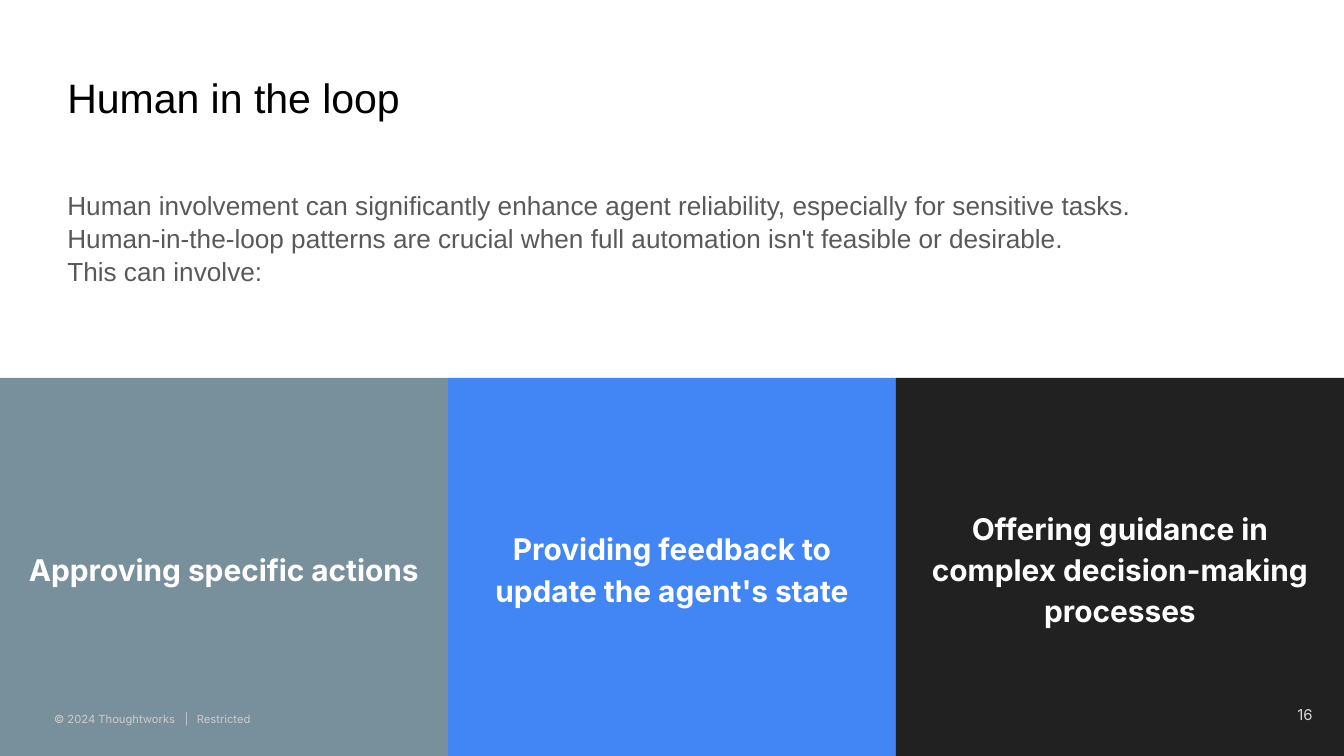
import pptx
import pptx.dml.color
import pptx.enum.shapes
import pptx.enum.text
import pptx.oxml
import pptx.oxml.ns
import pptx.util

Pt = pptx.util.Pt
ALIGN = pptx.enum.text.PP_ALIGN
ANCHOR = pptx.enum.text.MSO_ANCHOR

WIDTH, HEIGHT = 720, 405
INSET = 7.2
COLORS = {
    "title": "000000", "body": "595959", "white": "FFFFFF",
    "slate": "78909C", "blue": "4285F4", "black": "212121",
    "number": "D9D9D9", "footer": "CCCCCC",
}
PANELS = [
    ("Approving specific actions", "slate"),
    ("Providing feedback to update the agent's state", "blue"),
    ("Offering guidance in complex decision-making processes", "black"),
]
INTRODUCTION = [
    "Human involvement can significantly enhance agent reliability, especially for sensitive tasks.",
    "Human-in-the-loop patterns are crucial when full automation isn't feasible or desirable.",
    "This can involve:",
]


def rgb(name):
    return pptx.dml.color.RGBColor.from_string(COLORS[name])


def write(shape, lines, size, font, color, align=ALIGN.LEFT, anchor=ANCHOR.TOP,
          inset=INSET, spacing=1.0, bold=False, tabs=()):
    frame = shape.text_frame
    frame.word_wrap = True
    frame.vertical_anchor = anchor
    frame.margin_left = frame.margin_right = Pt(inset)
    frame.margin_top = frame.margin_bottom = Pt(inset)
    frame.text = "\n".join(lines)
    for paragraph in frame.paragraphs:
        paragraph.alignment = align
        paragraph.line_spacing = spacing
        if tabs:
            properties = paragraph._p.get_or_add_pPr()
            tab_list = pptx.oxml.parse_xml(
                "<a:tabLst %s/>" % pptx.oxml.ns.nsdecls("a"))
            for position in tabs:
                tab = pptx.oxml.parse_xml(
                    "<a:tab %s algn='l'/>" % pptx.oxml.ns.nsdecls("a"))
                tab.set("pos", str(int(Pt(position))))
                tab_list.append(tab)
            properties.append(tab_list)
        paragraph.font.size = Pt(size)
        paragraph.font.name = font
        paragraph.font.bold = bold
        paragraph.font.color.rgb = rgb(color)


def add_text(slide, box, lines, *style, **options):
    shape = slide.shapes.add_textbox(*map(Pt, box))
    write(shape, lines, *style, **options)


def add_heading(slide, left, top, width):
    add_text(slide, (left, top, width, 45), ["Human in the loop"],
             22, "Arial", "title", spacing=1.1)
    add_text(slide, (left, top + 64.8, width, 92), INTRODUCTION,
             14, "Arial", "body", spacing=1.05)


def add_panels(slide, left, top, width, height):
    panel_width = width / len(PANELS)
    for index, (text, color) in enumerate(PANELS):
        panel = slide.shapes.add_shape(
            pptx.enum.shapes.MSO_SHAPE.RECTANGLE,
            Pt(left + index * panel_width), Pt(top), Pt(panel_width), Pt(height))
        panel.shadow.inherit = False
        panel.fill.solid()
        panel.fill.fore_color.rgb = rgb(color)
        panel.line.fill.background()
        write(panel, [text], 16, "Inter", "white", ALIGN.CENTER, ANCHOR.MIDDLE,
              spacing=1.15, bold=True)
        panel.text_frame.paragraphs[0].space_after = Pt(12)


def add_footer(slide, left, top, width):
    add_text(slide, (left + width - 43.2, top, 43.2, 31), ["16"],
             8, "Inter", "number", ALIGN.RIGHT, ANCHOR.MIDDLE)
    # Tab stops set the gaps around the divider
    add_text(slide, (left, top + 8, 310, 13.6),
             ["© 2024 Thoughtworks\t|\tRestricted"],
             6, "Inter", "footer", anchor=ANCHOR.BOTTOM, inset=0, tabs=(70, 76.5))


def main():
    presentation = pptx.Presentation()
    presentation.slide_width, presentation.slide_height = Pt(WIDTH), Pt(HEIGHT)
    slide = presentation.slides.add_slide(presentation.slide_layouts[6])
    add_heading(slide, 29, 28.8, 664)
    add_panels(slide, 0, HEIGHT / 2, WIDTH, HEIGHT / 2)
    add_footer(slide, 29, 367.2, 681.4)
    presentation.save("out.pptx")


if __name__ == "__main__":
    main()
